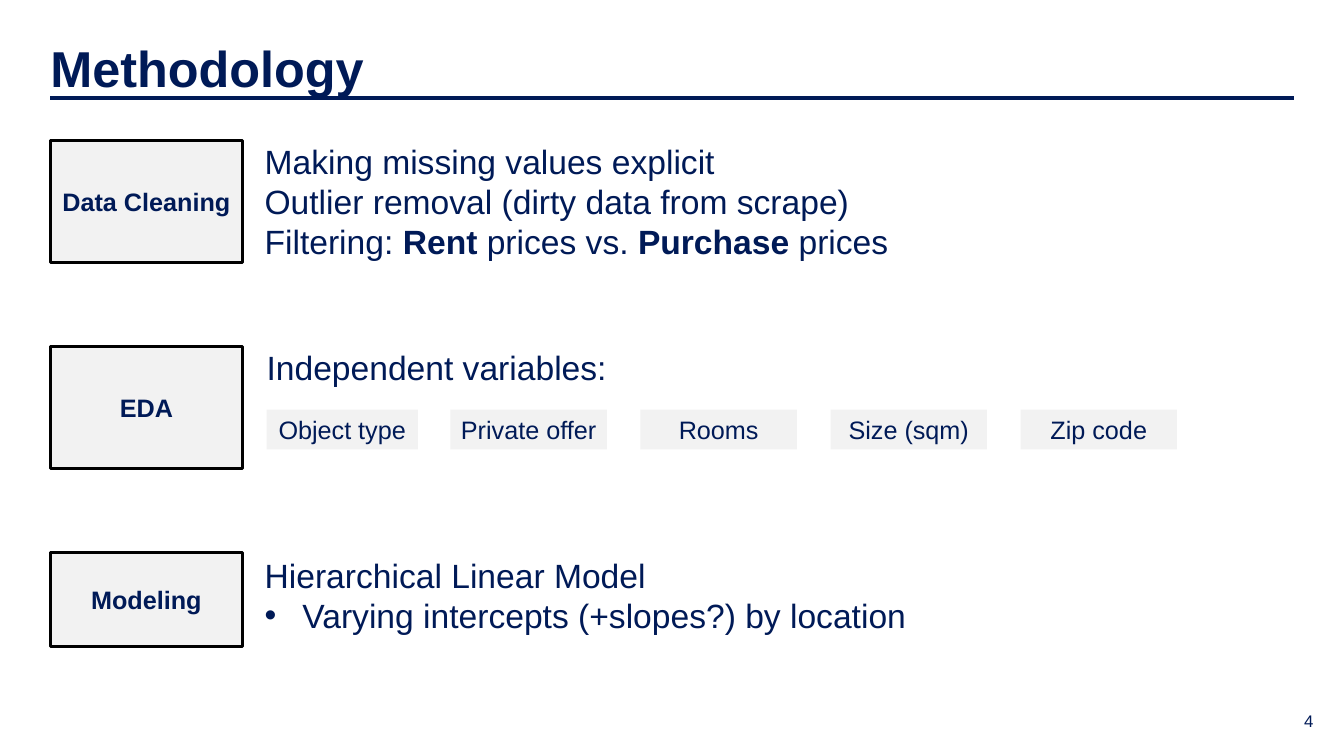
"""Build the Methodology slide with its three project steps."""
import pptx
import pptx.dml.color
import pptx.enum.shapes
import pptx.enum.text
import pptx.oxml
import pptx.util
from lxml import etree

PX = 9525
NAVY, GREY, BLACK = "001A57", "F2F2F2", "000000"
ALIGN = pptx.enum.text.PP_ALIGN
ANCHOR = pptx.enum.text.MSO_ANCHOR
NS = "{http://schemas.openxmlformats.org/drawingml/2006/main}"


def color(code):
    return pptx.dml.color.RGBColor.from_string(code)


def put(box, spot, lines, size, align=ALIGN.LEFT, anchor=ANCHOR.TOP):
    box.left, box.top, box.width, box.height = [n * PX for n in spot]
    frame = box.text_frame
    frame.word_wrap = True
    frame.vertical_anchor = anchor
    frame.margin_left = frame.margin_right = 0
    frame.margin_top = frame.margin_bottom = 0
    for i, line in enumerate(lines):
        par = frame.paragraphs[0] if i == 0 else frame.add_paragraph()
        par.alignment = align
        for text, bold in line:
            run = par.add_run()
            run.text = text
            run.font.name = "Arial"
            run.font.size = pptx.util.Pt(size)
            run.font.bold = bold
            run.font.color.rgb = color(NAVY)
    return frame


deck = pptx.Presentation()
deck.slide_width, deck.slide_height = 1280 * PX, 720 * PX
slide = deck.slides.add_slide(deck.slide_layouts[6])
shapes = slide.shapes
RECT = pptx.enum.shapes.MSO_SHAPE.RECTANGLE

put(shapes.add_textbox(0, 0, 0, 0), (972, 667, 279, 38), [[("4", False)]],
    12, ALIGN.RIGHT, ANCHOR.MIDDLE)
put(shapes.add_textbox(0, 0, 0, 0), (48, 35, 301, 58),
    [[("Methodology", True)]], 36)

rule = shapes.add_connector(pptx.enum.shapes.MSO_CONNECTOR.STRAIGHT,
                            48 * PX, 93 * PX, 1232 * PX, 93 * PX)
rule.line.color.rgb = color(NAVY)
rule.line.width = pptx.util.Pt(3)
etree.SubElement(rule.element.spPr, NS + "effectLst")

steps = [
    ("Data Cleaning", 134, 116, (252, 134, 600, 116), [
        [("Making missing values explicit", False)],
        [("Outlier removal (dirty data from scrape)", False)],
        [("Filtering: ", False), ("Rent", True), (" prices vs. ", False),
         ("Purchase", True), (" prices", False)]]),
    ("EDA", 330, 116, (254, 330, 977, 38), [
        [("Independent variables:", False)]]),
    ("Modeling", 526, 90, (252, 528, 640, 116), [
        [("Hierarchical Linear Model", False)],
        [("Varying intercepts (+slopes?) by location", False)]]),
]
for name, top, high, spot, lines in steps:
    step = shapes.add_shape(RECT, 0, 0, 0, 0)
    step.shadow.inherit = False
    step.fill.solid()
    step.fill.fore_color.rgb = color(GREY)
    step.line.color.rgb = color(BLACK)
    step.line.width = pptx.util.Pt(2.25)
    put(step, (48, top, 183, high), [[(name, True)]], 18,
        ALIGN.CENTER, ANCHOR.MIDDLE)
    body = put(shapes.add_textbox(0, 0, 0, 0), spot, lines, 24)

props = body.paragraphs[1]._p.get_or_add_pPr()
props.set("marL", str(36 * PX))
props.set("indent", str(-36 * PX))
etree.SubElement(props, NS + "buFont", typeface="Arial")
etree.SubElement(props, NS + "buChar", char="•")

chips = ["Object type", "Private offer", "Rooms", "Size (sqm)", "Zip code"]
for i, name in enumerate(chips):
    left, wide = (429 + 181 * (i - 1), 149) if i else (254, 144)
    chip = shapes.add_shape(RECT, 0, 0, 0, 0)
    chip.shadow.inherit = False
    chip.fill.solid()
    chip.fill.fore_color.rgb = color(GREY)
    chip.line.fill.background()
    put(chip, (left, 390, wide, 38), [[(name, False)]], 18,
        ALIGN.CENTER, ANCHOR.MIDDLE)

deck.save("out.pptx")
